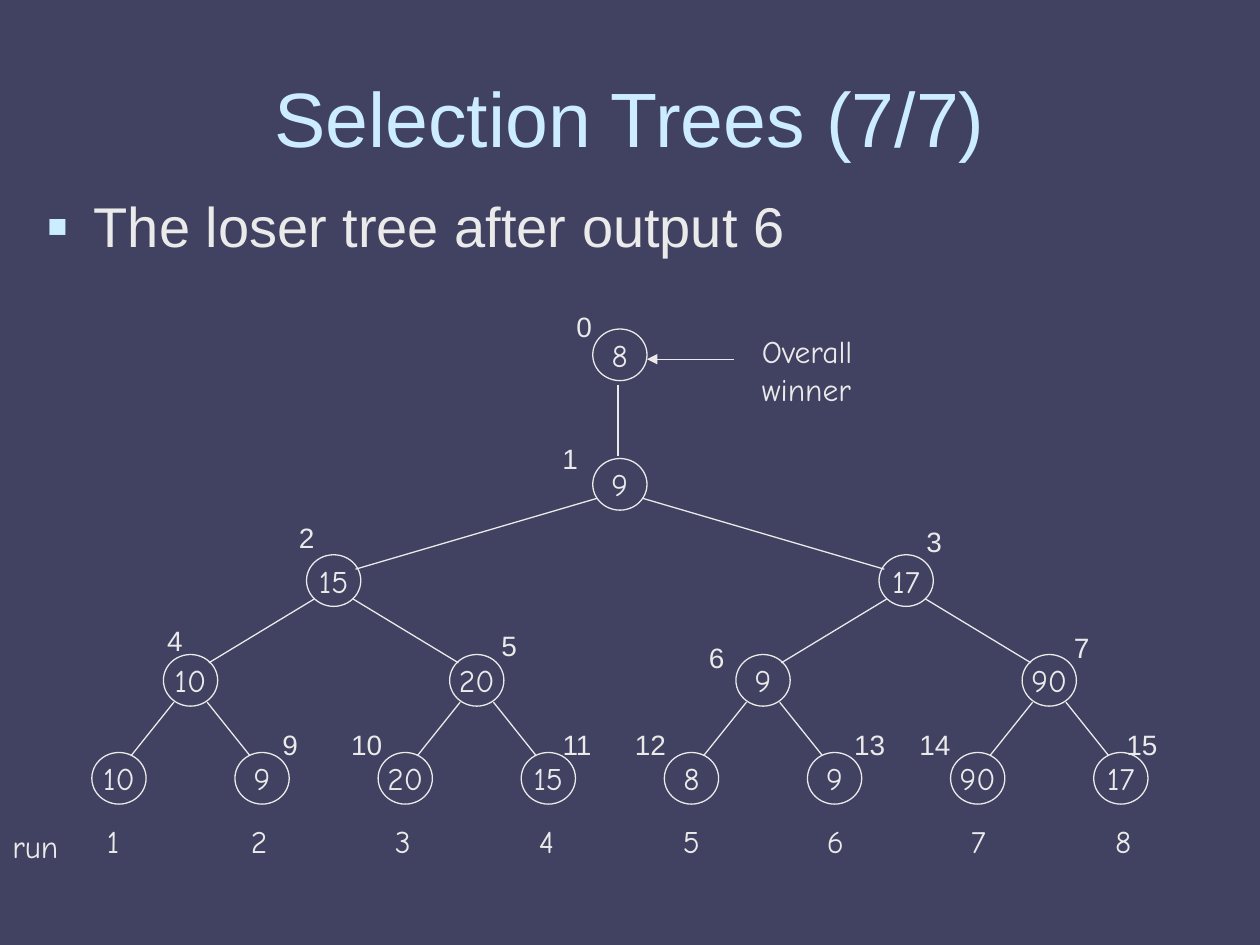
from lxml.etree import SubElement
from pptx import Presentation
from pptx.dml.color import RGBColor
from pptx.enum.shapes import MSO_CONNECTOR as CONN, MSO_SHAPE as SHAPE
from pptx.enum.text import MSO_ANCHOR as ANCHOR, PP_ALIGN as ALIGN
from pptx.oxml.ns import qn
from pptx.util import Pt

INK, ACCENT, BACK = "EAEAEA", "CCECFF", "414161"
SANS, HAND = "Arial", "Comic Neue"
NODE_W, NODE_H = 31, 29.5
LEVEL_TOPS = [74, 129, 186, 242]
VALUES = [8, 9, 15, 17, 10, 20, 9, 90, 10, 9, 20, 15, 8, 9, 90, 17]
EDGE_ENDS = [(13, 8, 12.5, -6.5), (11, 10.5, 10.5, -10), (9.5, 12.5, 7, -13)]
INDEX_OFFSETS = {
    0: (-16.5, -14.5), 1: (-24.5, -13.5), 2: (-11.5, -23), 3: (20, -21),
    4: (-5, -21), 5: (22.5, -18.5), 6: (-22.5, -11.5), 7: (22.5, -17.5),
    9: (20, -18), 10: (-22.5, -18), 11: (16.5, -18), 12: (-24, -18),
    13: (19.5, -18), 14: (-25, -18), 15: (11.5, -18),
}


def color(value):
    return RGBColor.from_string(value)


def write(tf, text, font, size, ink=INK, align=ALIGN.LEFT, before=0):
    p = tf.paragraphs[0]
    p.alignment = align
    p.space_before = Pt(before)
    r = p.add_run()
    r.text = text
    r.font.name = font
    r.font.size = Pt(size)
    r.font.color.rgb = color(ink)
    return p


def add_text(s, box, text, font, size, **style):
    tf = s.shapes.add_textbox(*map(Pt, box)).text_frame
    tf.word_wrap = True
    return tf, write(tf, text, font, size, **style)


def add_line(s, x1, y1, x2, y2, arrow=False):
    line = s.shapes.add_connector(CONN.STRAIGHT, Pt(x1), Pt(y1), Pt(x2), Pt(y2))
    line.line.color.rgb = color(INK)
    line.line.width = Pt(0.75)
    if arrow:
        SubElement(line.line._get_or_add_ln(), qn("a:tailEnd"), type="triangle")
    SubElement(line._element.spPr, qn("a:effectLst"))


def add_node(s, cx, cy, value):
    sp = s.shapes.add_shape(SHAPE.OVAL, Pt(cx - NODE_W / 2), Pt(cy - NODE_H / 2),
                            Pt(NODE_W), Pt(NODE_H))
    sp.shadow.inherit = False
    sp.fill.background()
    sp.line.color.rgb = color(INK)
    sp.line.width = Pt(0.75)
    tf = sp.text_frame
    tf.word_wrap = False
    tf.vertical_anchor = ANCHOR.MIDDLE
    write(tf, str(value), HAND, 18, align=ALIGN.CENTER)


def add_title(s, box):
    tf, p = add_text(s, box, "Selection Trees (7/7)", SANS, 44,
                     ink=ACCENT, align=ALIGN.CENTER)
    tf.vertical_anchor = ANCHOR.MIDDLE


def add_bullet(s, box):
    tf, p = add_text(s, box, "The loser tree after output 6", SANS, 32, before=8)
    pPr = p._p.get_or_add_pPr()
    pPr.set("marL", str(Pt(27)))
    pPr.set("indent", str(Pt(-27)))
    SubElement(SubElement(pPr, qn("a:buClr")), qn("a:srgbClr"), val=ACCENT)
    SubElement(pPr, qn("a:buSzPct"), val="115000")
    SubElement(pPr, qn("a:buFont"), typeface=SANS)
    SubElement(pPr, qn("a:buChar"), char="▪")


def node_center(box, index):
    left, top, width, height = box
    pitch = (width - NODE_W) / 7
    if index == 0:
        return left + width / 2, top + NODE_H / 2
    depth = index.bit_length() - 1
    place = index - 2 ** depth
    slot = ((2 * place + 1) * 2 ** (3 - depth) - 1) / 2
    return left + NODE_W / 2 + pitch * slot, top + LEVEL_TOPS[depth] + NODE_H / 2


def add_tree(s, box):
    centers = [node_center(box, i) for i in range(len(VALUES))]
    for (cx, cy), value in zip(centers, VALUES):
        add_node(s, cx, cy, value)

    for child in range(2, len(VALUES)):
        (px, py), (cx, cy) = centers[child // 2], centers[child]
        side = 1 if child % 2 else -1
        dx1, dy1, dx2, dy2 = EDGE_ENDS[child.bit_length() - 2]
        add_line(s, px + side * dx1, py + dy1, cx - side * dx2, cy + dy2)

    for index, (dx, dy) in INDEX_OFFSETS.items():
        cx, cy = centers[index]
        width = 19.5 if index < 10 else 40
        add_text(s, (cx - NODE_W / 2 + dx, cy - NODE_H / 2 + dy, width, 26.5),
                 str(index), SANS, 16, before=10)

    cx, cy = centers[0]
    add_line(s, cx - 1, cy + 17, cx - 1, cy + 58)
    add_line(s, cx + 65, cy + 2.5, cx + 15.5, cy + 2.5, arrow=True)
    add_text(s, (cx + 74, cy - 16.5, 79, 50.5), "Overall winner", HAND, 18, before=11.2)


def add_runs(s, box):
    left, top, width, height = box
    add_text(s, (left, top + 3, 64, height), "run", HAND, 18, before=11.2)
    for i in range(8):
        add_text(s, (left + 54 + 82.3 * i, top, 25, height), str(i + 1),
                 HAND, 18, before=11.2)


def main():
    prs = Presentation()
    prs.slide_width, prs.slide_height = Pt(720), Pt(540)
    s = prs.slides.add_slide(prs.slide_layouts[6])
    s.background.fill.solid()
    s.background.fill.fore_color.rgb = color(BACK)
    add_title(s, (36, 21.5, 648, 90))
    add_tree(s, (52.5, 188, 603.5, 271.5))
    add_runs(s, (0, 466, 660, 29))
    add_bullet(s, (19.5, 106, 476.5, 65))
    prs.save("out.pptx")


if __name__ == "__main__":
    main()
